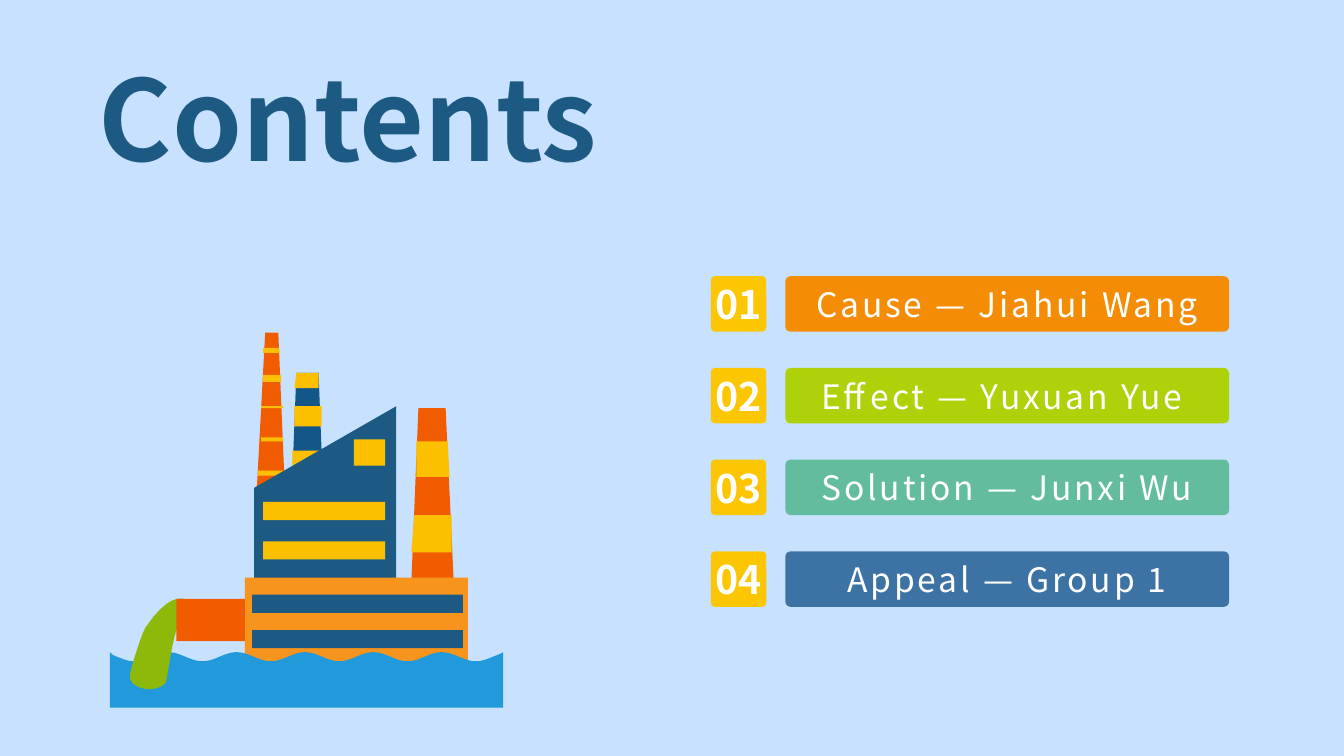
from math import cos, pi
from lxml.etree import SubElement
from pptx import Presentation
from pptx.dml.color import RGBColor
from pptx.enum.shapes import MSO_SHAPE
from pptx.enum.text import MSO_ANCHOR, MSO_AUTO_SIZE, PP_ALIGN
from pptx.oxml.ns import qn
from pptx.util import Inches, Pt

WIDTH, HEIGHT = Inches(13.33), Inches(7.5)
COL, ROW = WIDTH / 1333, HEIGHT / 750
FONT = "Noto Sans CJK SC"
HUES = {
    "sky": "C7E1FF", "navy": "1D5A83", "stack": "135788", "gold": "FCC000",
    "red": "F15C00", "base": "F7941D", "sea": "2199DB", "slime": "8DB90A",
    "badge": "FDC602", "cause": "F48C06", "effect": "AFD109",
    "solve": "63BC9E", "appeal": "3C72A4", "white": "FFFFFF",
}
ITEMS = [
    ("Cause — Jiahui Wang", "cause"),
    ("Effect — Yuxuan Yue ", "effect"),
    ("Solution — Junxi Wu", "solve"),
    ("Appeal — Group 1", "appeal"),
]


def hue(name):
    """Return a named colour."""
    return RGBColor.from_string(HUES[name])


def paint(shape, name):
    """Fill a shape flat, with no line or shadow."""
    shape.shadow.inherit = False
    shape.fill.solid()
    shape.fill.fore_color.rgb = hue(name)
    shape.line.fill.background()
    return shape


def box(slide, name, left, top, wide, high, kind=MSO_SHAPE.RECTANGLE):
    """Place a preset shape by columns and rows."""
    spot = round(left * COL), round(top * ROW), round(wide * COL), round(high * ROW)
    return paint(slide.shapes.add_shape(kind, *spot), name)


def poly(slide, name, *points):
    """Draw a closed outline through grid points."""
    spots = [(round(x * COL), round(y * ROW)) for x, y in points]
    form = slide.shapes.build_freeform(*spots[0], scale=1.0)
    form.add_line_segments(spots[1:], close=True)
    return paint(form.convert_to_shape(), name)


def write(frame, text, size, name, bold=False, gap=0, align=PP_ALIGN.CENTER):
    """Add one styled run to the first paragraph."""
    para = frame.paragraphs[0]
    para.alignment = align
    run = para.add_run()
    run.text = text
    font = run.font
    font.name, font.size, font.bold = FONT, Pt(size), bold
    font.color.rgb = hue(name)
    props = run._r.get_or_add_rPr()
    SubElement(props, qn("a:ea")).set("typeface", FONT)
    if gap:
        props.set("spc", str(gap * 100))
    return para


def curve(start, *parts, steps=8):
    """Return points along joined cubic curves."""
    points = [start]
    for one, two, end in parts:
        head = points[-1]
        for step in range(1, steps + 1):
            t = step / steps
            u = 1 - t
            points.append(tuple(
                u**3 * a + 3 * u * u * t * b + 3 * u * t * t * c + t**3 * d
                for a, b, c, d in zip(head, one, two, end)))
    return points


def stacks(slide):
    """Draw the two rear chimneys."""
    poly(slide, "stack", (294, 370), (290, 473), (320, 473), (316, 370))
    box(slide, "gold", 292, 403, 27, 20)
    box(slide, "gold", 290, 447, 31, 26)
    poly(slide, "gold", (294, 370), (292, 385), (316, 385), (316, 370))
    poly(slide, "red", (254, 498), (263, 330), (276, 330), (283, 498))
    poly(slide, "gold", (261, 345), (261, 350), (278, 350), (276, 345))
    for band in ((261, 372, 18, 7), (259, 403, 22, 2),
                 (259, 434, 22, 4), (256, 467, 27, 5)):
        box(slide, "gold", *band)


def plant(slide):
    """Draw the hall, front chimney and base."""
    poly(slide, "navy", (252, 652), (252, 484), (393, 403), (393, 652))
    box(slide, "gold", 351, 436, 31, 26)
    for top in (498, 537):
        box(slide, "gold", 261, top, 121, 18)
    poly(slide, "red", (408, 577), (415, 405), (442, 405), (450, 577))
    poly(slide, "gold", (413, 438), (413, 473), (446, 473), (444, 438))
    poly(slide, "gold", (411, 511), (408, 548), (448, 548), (448, 511))
    box(slide, "base", 243, 573, 221, 83)
    for top in (590, 625):
        box(slide, "navy", 250, top, 209, 18)


def spill(slide):
    """Draw the water, the waste and its pipe."""
    wave = [(x, 651.5 + 4.5 * cos(pi * (x - 133) / 33.9)) for x in range(112, 497, 3)]
    poly(slide, "sea", (109, 702), (109, 647), *wave, (499, 647), (499, 702))
    poly(slide, "slime", *curve(
        (177, 621),
        ((177, 621), (179, 614), (179, 612)),
        ((181, 610), (181, 605), (184, 603)),
        ((184, 599), (186, 594), (181, 594)),
        ((179, 594), (166, 590), (144, 623)),
        ((140, 630), (129, 665), (129, 669)),
        ((126, 683), (153, 689), (164, 678)),
        ((166, 674), (170, 639), (175, 625))))
    box(slide, "red", 175, 594, 68, 42)


def entry(slide, rank, text, name):
    """Add one numbered line of the contents."""
    top = 274 + 91 * rank
    parts = ((705, 55, 0.076, "badge", f"{rank + 1:02}", 28, True, 0),
             (779, 440, 0.091, name, text, 24, False, 2))
    for left, wide, bend, tint, words, size, bold, gap in parts:
        shape = box(slide, tint, left, top, wide, 55, MSO_SHAPE.ROUNDED_RECTANGLE)
        shape.adjustments[0] = bend
        frame = shape.text_frame
        frame.vertical_anchor = MSO_ANCHOR.MIDDLE
        if bold:
            frame.margin_left = frame.margin_right = 0
            frame.margin_top = frame.margin_bottom = 0
        write(frame, words, size, "white", bold, gap)


def head(slide):
    """Set the title."""
    title = slide.shapes.title
    title.left, title.top = round(88 * COL), round(59 * ROW)
    title.width, title.height = round(523 * COL), round(145 * ROW)
    frame = title.text_frame
    frame.word_wrap = False
    frame.auto_size = MSO_AUTO_SIZE.SHAPE_TO_FIT_TEXT
    frame.vertical_anchor = MSO_ANCHOR.TOP
    para = write(frame, "Contents", 80, "navy", True, align=PP_ALIGN.LEFT)
    para.line_spacing = 0.9


def main():
    """Build and save the slide."""
    deck = Presentation()
    deck.slide_width, deck.slide_height = WIDTH, HEIGHT
    slide = deck.slides.add_slide(deck.slide_layouts[5])
    back = slide.background.fill
    back.solid()
    back.fore_color.rgb = hue("sky")
    stacks(slide)
    plant(slide)
    spill(slide)
    for rank, (text, name) in enumerate(ITEMS):
        entry(slide, rank, text, name)
    head(slide)
    deck.save("out.pptx")


if __name__ == "__main__":
    main()
